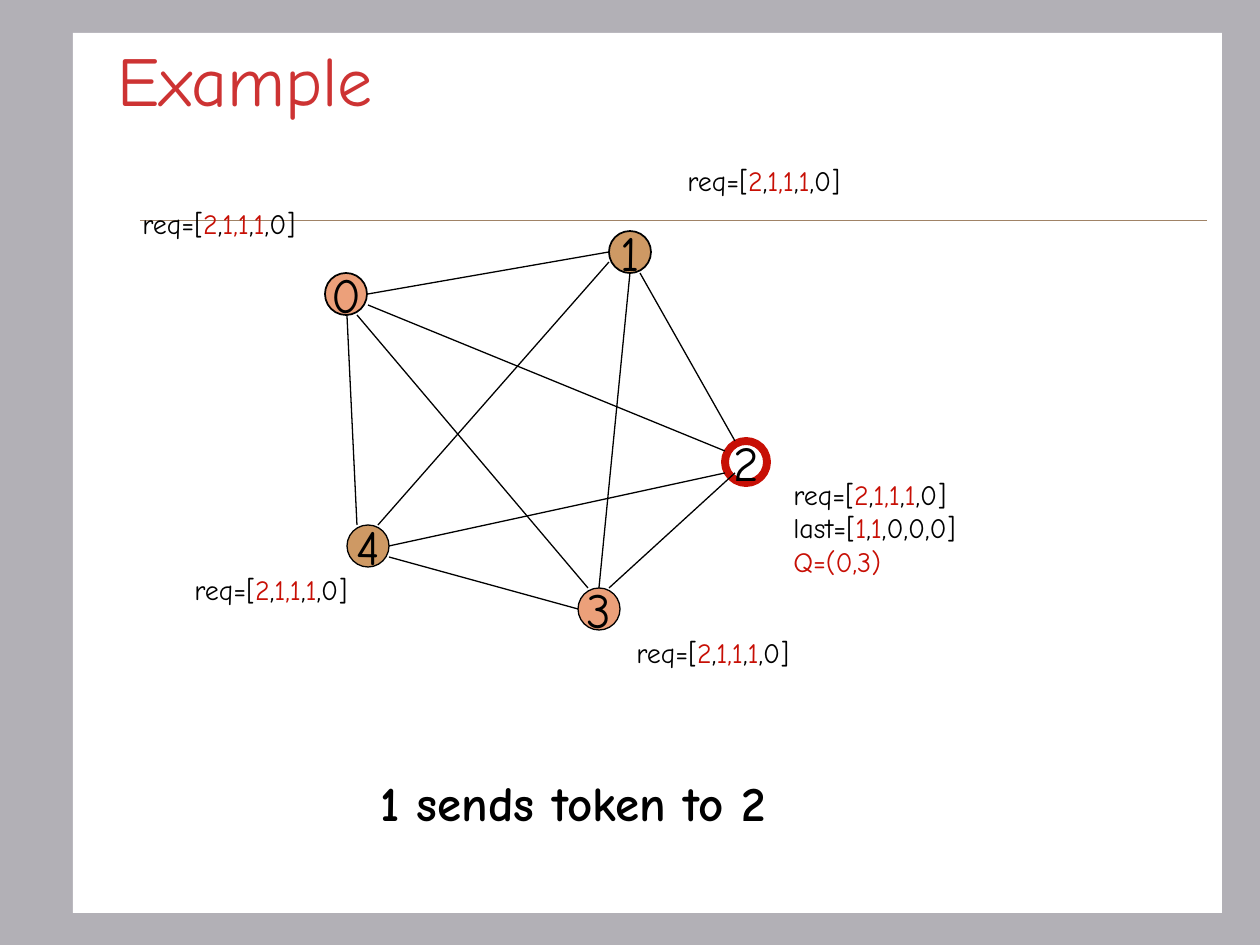
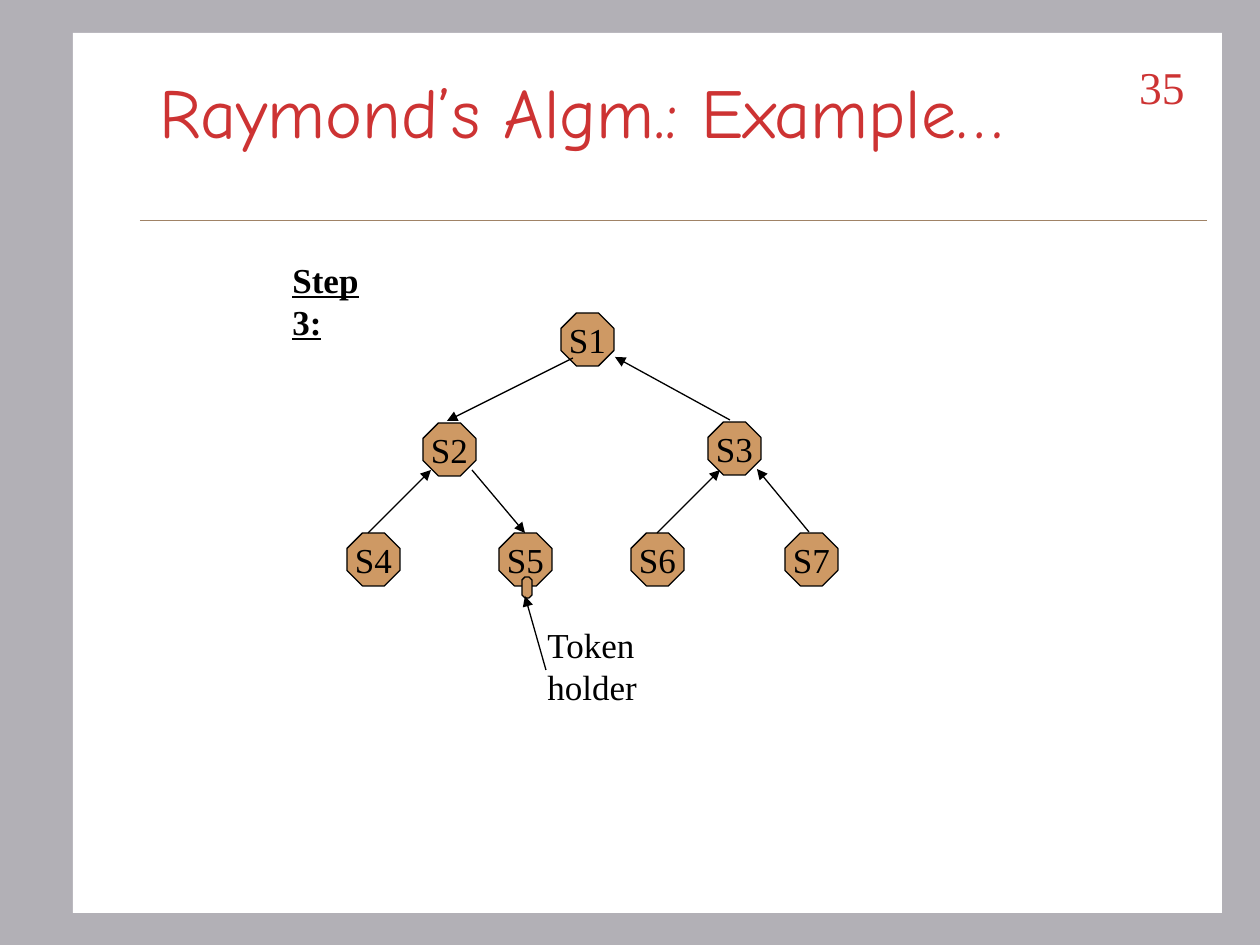
from lxml import etree
from pptx import Presentation
from pptx.dml.color import RGBColor
from pptx.enum import shapes, text
from pptx.oxml.ns import qn
from pptx import util as u

PX = 7257  # EMU in one px, 126 px to the inch
COMIC, TIMES = "Comic Neue", "Times New Roman"
BLACK, WHITE, GREY = "000000", "FFFFFF", "B2B0B6"
TITLE_RED, RED, TAN, SALMON, BROWN = "CD3333", "C70F05", "CE9964", "ECA07A", "A08366"
LEFT, CENTER, RIGHT = text.PP_ALIGN.LEFT, text.PP_ALIGN.CENTER, text.PP_ALIGN.RIGHT
rgb = RGBColor.from_string


def write(frame, words, size, font, color=BLACK, bold=False, underline=False,
          align=LEFT, wrap=False, anchor=text.MSO_ANCHOR.TOP,
          fit=text.MSO_AUTO_SIZE.NONE):
    """Fill a text frame; every second part between bars is red."""
    frame.word_wrap, frame.vertical_anchor, frame.auto_size = wrap, anchor, fit
    for number, row in enumerate(words.split("\n")):
        paragraph = frame.add_paragraph() if number else frame.paragraphs[0]
        paragraph.alignment = align
        for part, piece in enumerate(row.split("|")):
            if not piece:
                continue
            run = paragraph.add_run()
            run.text = piece
            run.font.name, run.font.size = font, u.Pt(size)
            run.font.bold, run.font.underline = bold, underline
            run.font.color.rgb = rgb(RED if part % 2 else color)


def add_line(slide, ends, color=BLACK, width=0.75, arrow=False):
    """Draw a straight line, with an optional arrowhead at its second end."""
    line = slide.shapes.add_connector(
        shapes.MSO_CONNECTOR.STRAIGHT, *[end * PX for end in ends])
    line.line.color.rgb, line.line.width = rgb(color), u.Pt(width)
    properties = line.element.spPr
    if arrow:
        etree.SubElement(properties.find(qn("a:ln")), qn("a:tailEnd"), type="triangle")
    etree.SubElement(properties, qn("a:effectLst"))
    return line


presentation = Presentation()
presentation.slide_width, presentation.slide_height = 1260 * PX, 945 * PX
background = presentation.slide_master.background.fill
background.solid()
background.fore_color.rgb = rgb(GREY)

layout = presentation.slide_layouts[5]
for placeholder in list(layout.placeholders)[1:]:
    placeholder.element.getparent().remove(placeholder.element)

ring_slide = presentation.slides.add_slide(layout)
tree_slide = presentation.slides.add_slide(layout)

# White panel and rule, shared through the layout
panel = ring_slide.shapes.add_shape(
    shapes.MSO_SHAPE.RECTANGLE, 73 * PX, 33 * PX, 1149 * PX, 880 * PX)
panel.shadow.inherit = False
panel.fill.solid()
panel.fill.fore_color.rgb = rgb(WHITE)
panel.line.fill.background()
rule = add_line(ring_slide, (140, 220, 1207, 220), BROWN, 0.25)
for position, shared in enumerate((panel, rule), start=2):
    layout.shapes.element.insert(position, shared.element)

titles = [
    (ring_slide, "Example", 105, 0),
    (tree_slide, "Raymond’s Algm.: Example…", 147, 32),
]
for slide, words, left, top in titles:
    title = slide.shapes.title
    title.left, title.top = left * PX, top * PX
    title.width, title.height = 1071 * PX, 157 * PX
    write(title.text_frame, words, 40, COMIC, TITLE_RED, wrap=True,
          anchor=text.MSO_ANCHOR.MIDDLE)

# Nodes: label, left, top, width, height, fill, line colour, line width
circles = [
    ("0", 325, 273, 42, 42, SALMON, BLACK, 1),
    ("2", 725, 441, 42, 42, None, RED, 4.5),
    ("1", 609, 231, 42, 42, TAN, BLACK, 1),
    ("3", 578, 588, 42, 42, SALMON, BLACK, 0.75),
    ("4", 347, 525, 42, 42, TAN, BLACK, 0.75),
]
tree_places = [("S1", 561, 313), ("S2", 423, 423), ("S3", 708, 422), ("S4", 347, 533),
               ("S5", 499, 533), ("S6", 631, 533), ("S7", 785, 533)]
octagons = [(label, left, top, 53, 53, TAN, BLACK, 0.75)
            for label, left, top in tree_places]
octagons.append(("", 522, 577, 10, 21, TAN, BLACK, 0.75))  # the token

node_sets = [
    (ring_slide, shapes.MSO_SHAPE.OVAL, circles, 28, COMIC),
    (tree_slide, shapes.MSO_SHAPE.OCTAGON, octagons, 20, TIMES),
]
for slide, kind, nodes, size, font in node_sets:
    for label, left, top, width, height, fill, color, weight in nodes:
        node = slide.shapes.add_shape(
            kind, left * PX, top * PX, width * PX, height * PX)
        node.shadow.inherit = False
        if fill:
            node.fill.solid()
            node.fill.fore_color.rgb = rgb(fill)
        else:
            node.fill.background()
        node.line.color.rgb, node.line.width = rgb(color), u.Pt(weight)
        write(node.text_frame, label, size, font, align=CENTER,
              anchor=text.MSO_ANCHOR.MIDDLE)

ring_edges = [
    (368, 294, 609, 252), (640, 273, 735, 441), (735, 473, 609, 588),
    (578, 609, 389, 557), (357, 525, 347, 315), (368, 305, 725, 451),
    (357, 315, 588, 588), (630, 273, 599, 588), (609, 262, 378, 525),
    (725, 473, 389, 546),
]
for edge in ring_edges:
    add_line(ring_slide, edge)

tree_arrows = [
    (368, 533, 431, 470), (657, 533, 720, 470), (472, 470, 525, 533),
    (809, 532, 757, 469), (573, 358, 447, 421), (730, 420, 615, 357),
    (546, 670, 525, 596),
]
for edge in tree_arrows:
    add_line(tree_slide, edge, arrow=True)

REQUEST = "req=[|2|,|1,1|,|1|,0]"
comic, times = dict(size=16, font=COMIC), dict(size=20, font=TIMES)
GROW = text.MSO_AUTO_SIZE.SHAPE_TO_FIT_TEXT
labels = [
    (ring_slide, REQUEST, (130, 200, 178, 47), dict(comic, fit=GROW)),
    (ring_slide, REQUEST, (675, 157, 178, 47), dict(comic, fit=GROW)),
    (ring_slide, REQUEST + "\nlast=[|1|,|1|,0,0,0]\n|Q=(0,3)", (781, 471, 188, 147),
     dict(comic, fit=GROW)),
    (ring_slide, REQUEST, (624, 629, 178, 47), dict(comic, fit=GROW)),
    (ring_slide, REQUEST, (182, 566, 178, 47), dict(comic, fit=GROW)),
    (ring_slide, "1 sends token to 2", (368, 766, 525, 72),
     dict(size=28, font=COMIC, bold=True, wrap=True, fit=GROW)),
    (tree_slide, "35", (1092, 53, 105, 63),
     dict(size=26, font=TIMES, color=TITLE_RED, align=RIGHT, wrap=True)),
    (tree_slide, "Step 3:", (280, 252, 129, 55),
     dict(times, bold=True, underline=True, fit=GROW)),
    (tree_slide, "Token\nholder", (535, 617, 115, 97), dict(times, fit=GROW)),
]
for slide, words, box, style in labels:
    label = slide.shapes.add_textbox(*[length * PX for length in box])
    write(label.text_frame, words, **style)

presentation.save("out.pptx")
